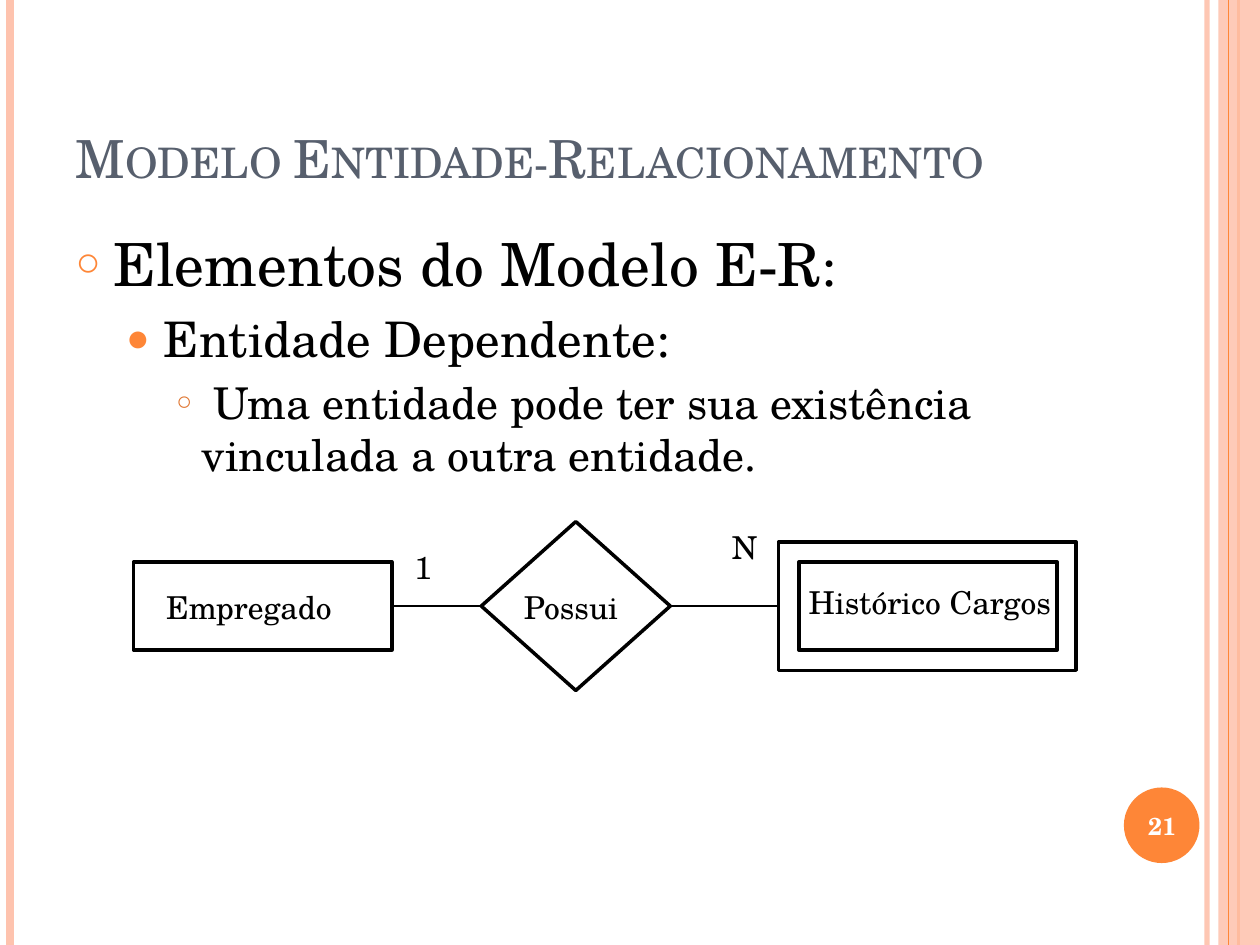
from lxml import etree
from pptx import Presentation
from pptx.dml.color import RGBColor
from pptx.enum.shapes import MSO_CONNECTOR, MSO_SHAPE
from pptx.enum.text import MSO_ANCHOR, MSO_AUTO_SIZE, PP_ALIGN
from pptx.oxml.ns import qn
from pptx.util import Inches, Pt

STRAIGHT = MSO_CONNECTOR.STRAIGHT
RECT, OVAL, DIAMOND = MSO_SHAPE.RECTANGLE, MSO_SHAPE.OVAL, MSO_SHAPE.DIAMOND
LEFT, CENTER = PP_ALIGN.LEFT, PP_ALIGN.CENTER
TOP, MIDDLE, BOTTOM = MSO_ANCHOR.TOP, MSO_ANCHOR.MIDDLE, MSO_ANCHOR.BOTTOM
NO_AUTOFIT = MSO_AUTO_SIZE.NONE
SIDE_LEFT, SIDE_RIGHT = 1, 3

FONT = "TeX Gyre Schola"
COLORS = {
    "ink": "000000",
    "white": "FFFFFF",
    "title": "575F6D",
    "orange": "FE8637",
    "dark_orange": "E07631",
    "peach": "FEC3AE",
}


def rgb(name):
    """Return the palette colour with this name."""
    return RGBColor.from_string(COLORS[name])


def add_run(p, text, size=18, color="ink", bold=False, small_caps=False):
    """Append a formatted run to a paragraph."""
    r = p.add_run()
    r.text = text
    r.font.name = FONT
    r.font.size = Pt(size)
    r.font.bold = bold
    r.font.color.rgb = rgb(color)
    if small_caps:
        r.font._element.set("cap", "small")


def set_alpha(color_format_parent, percent):
    """Make the solid colour below an element partly transparent."""
    clr = color_format_parent.find(".//" + qn("a:srgbClr"))
    etree.SubElement(clr, qn("a:alpha")).set("val", str(percent * 1000))


def set_bullet(p, char, color, percent, margin, hanging):
    """Give a paragraph a coloured bullet and a hanging indent."""
    pPr = p._p.get_or_add_pPr()
    pPr.set("marL", str(Inches(margin)))
    pPr.set("indent", str(-Inches(hanging)))
    bu_color = etree.SubElement(pPr, qn("a:buClr"))
    etree.SubElement(bu_color, qn("a:srgbClr")).set("val", COLORS[color])
    etree.SubElement(pPr, qn("a:buSzPct")).set("val", str(percent * 1000))
    etree.SubElement(pPr, qn("a:buChar")).set("char", char)


class SlideBuilder:
    """Holds the current slide and draws each kind of element on it."""

    def __init__(self, slide):
        """Start drawing on a slide."""
        self.s = slide

    def place(self, sp, box, anchor):
        """Position a text shape and return its text frame."""
        sp.left, sp.top, sp.width, sp.height = map(Inches, box)
        tf = sp.text_frame
        tf.auto_size = NO_AUTOFIT
        tf.vertical_anchor = anchor
        return tf

    def title(self, text, box):
        """Fill the title placeholder."""
        p = self.place(self.s.shapes.title, box, BOTTOM).paragraphs[0]
        p.alignment = LEFT
        add_run(p, text, size=30, color="title", small_caps=True)

    def body(self, items, box):
        """Fill the body placeholder with one bullet level per item."""
        tf = self.place(self.s.placeholders[1], box, TOP)
        for level, (runs, before, bullet) in enumerate(items):
            p = tf.add_paragraph() if level else tf.paragraphs[0]
            p.level = level
            p.space_before = Pt(before)
            set_bullet(p, *bullet)
            for text, size in runs:
                add_run(p, text, size=size)

    def label(self, text, box, wrap=False, anchor=TOP, align=LEFT, **fmt):
        """Add a text box with one line."""
        tf = self.place(self.s.shapes.add_textbox(0, 0, 0, 0), box, anchor)
        tf.word_wrap = wrap
        p = tf.paragraphs[0]
        p.alignment = align
        add_run(p, text, **fmt)

    def shape(self, kind, box, fill=None, alpha=None, line=None):
        """Add a filled or outlined preset shape."""
        sp = self.s.shapes.add_shape(kind, *map(Inches, box))
        sp.shadow.inherit = False
        if fill:
            sp.fill.solid()
            sp.fill.fore_color.rgb = rgb(fill)
            if alpha:
                set_alpha(sp._element.spPr, alpha)
        else:
            sp.fill.background()
        if line:
            sp.line.color.rgb = rgb("ink")
            sp.line.width = Pt(line)
        else:
            sp.line.fill.background()
        return sp

    def line(self, start=(0, 0), end=(0, 0), color="ink", width=1, alpha=None):
        """Add a straight line."""
        c = self.s.shapes.add_connector(STRAIGHT, *map(Inches, (*start, *end)))
        c.line.color.rgb = rgb(color)
        c.line.width = Pt(width)
        if alpha:
            set_alpha(c._element.spPr, alpha)
        etree.SubElement(c._element.spPr, qn("a:effectLst"))
        return c

    def link(self, source, target):
        """Join the right side of one shape to the left side of another."""
        c = self.line()
        c.begin_connect(source, SIDE_RIGHT)
        c.end_connect(target, SIDE_LEFT)


def draw_frame(b):
    """Draw the side stripes and the page number."""
    b.line((9.58, 0), (9.58, 7.5), "peach", 3, alpha=93)
    b.line((0.08, 0), (0.08, 7.5), "peach", 4.5)
    b.line((9.83, 0), (9.83, 7.5), "orange", 1.5)
    b.shape(RECT, (9.67, 0, 0.33, 7.5), fill="peach", alpha=87)
    b.line((9.75, 0), (9.75, 7.5), "orange", 0.75)
    b.shape(OVAL, (8.92, 6.25, 0.6, 0.6), fill="orange")
    b.label("21", (8.89, 6.27, 0.67, 0.57), wrap=True, anchor=MIDDLE,
            align=CENTER, size=14, color="white", bold=True)


def draw_diagram(b):
    """Draw the entities, their relationship and the cardinalities."""
    employee = b.shape(RECT, (1.06, 4.46, 2.05, 0.7), line=2)
    owns = b.shape(DIAMOND, (3.82, 4.14, 1.5, 1.34), line=2)
    history = b.shape(RECT, (6.18, 4.3, 2.36, 1.02), line=2)
    b.shape(RECT, (6.34, 4.46, 2.05, 0.7), line=2)
    b.link(employee, owns)
    b.link(owns, history)
    for text, left, top, width in (
        ("Empregado", 1.22, 4.62, 1.64),
        ("Possui", 4.06, 4.62, 0.96),
        ("Histórico Cargos", 6.32, 4.58, 2.15),
        ("1", 3.19, 4.3, 0.34),
        ("N", 5.71, 4.14, 0.38),
    ):
        b.label(text, (left, top, width, 0.4))


def main():
    """Build the slide and save it."""
    prs = Presentation()
    prs.slide_width, prs.slide_height = Inches(10), Inches(7.5)
    b = SlideBuilder(prs.slides.add_slide(prs.slide_layouts[1]))
    draw_frame(b)
    b.title("Modelo Entidade-Relacionamento", (0.5, 0.3, 8.17, 1.25))
    b.body([
        ([("Elementos do Modelo E-R", 34), (":", 31)], 6,
         ("○", "orange", 70, 0.3, 0.3)),
        ([("Entidade Dependente:", 28)], 5.6,
         ("●", "orange", 80, 0.7, 0.3)),
        ([(" Uma entidade pode ter sua existência vinculada a outra entidade.",
           25)], 5, ("○", "dark_orange", 60, 1, 0.2)),
    ], (0.5, 1.75, 8.17, 4.76))
    draw_diagram(b)
    prs.save("out.pptx")


if __name__ == "__main__":
    main()
